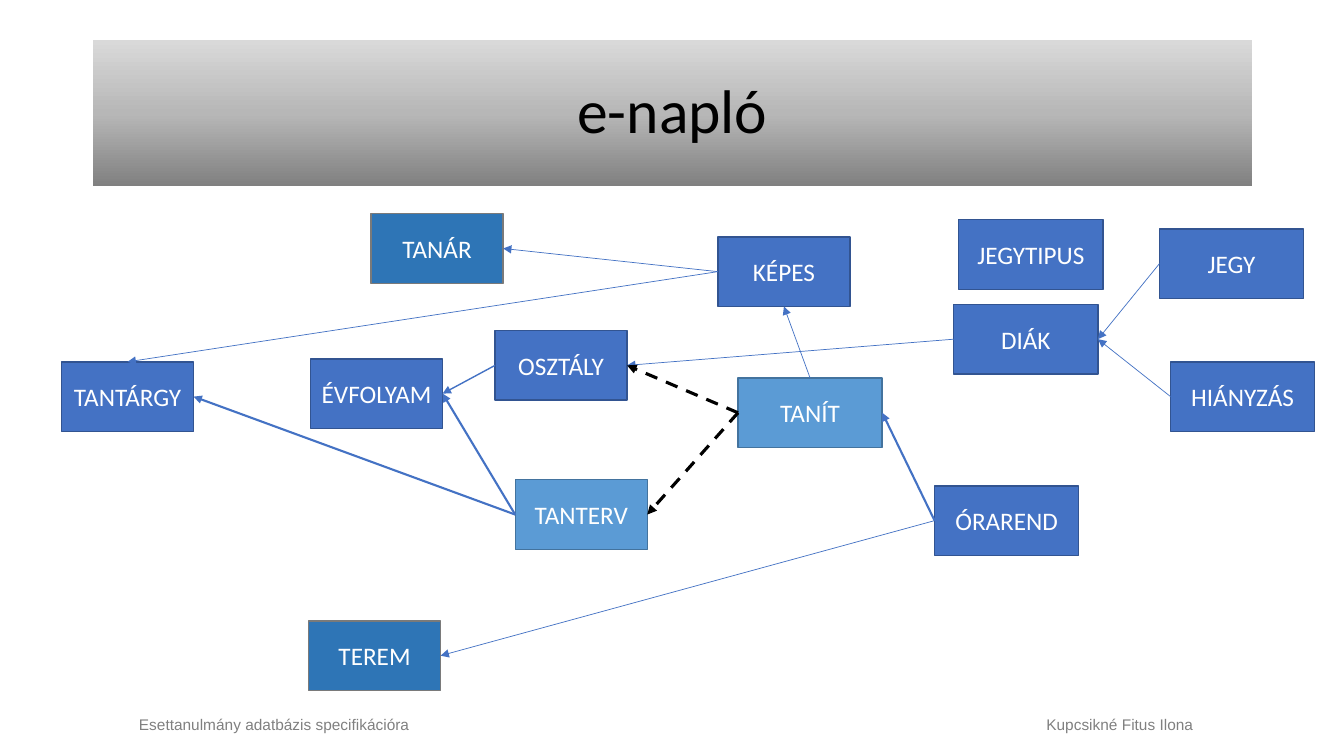
from copy import deepcopy

from lxml.etree import SubElement
from pptx import Presentation
from pptx.dml.color import RGBColor
from pptx.enum.dml import MSO_LINE
from pptx.enum.shapes import MSO_CONNECTOR, MSO_SHAPE
from pptx.enum.text import MSO_ANCHOR, PP_ALIGN
from pptx.oxml.ns import qn
from pptx.util import Inches, Pt

TOP, LEFT, BOTTOM, RIGHT = range(4)
NARROW, WIDE, BOX_HEIGHT = 1.31, 1.43, 0.69
BLUE = ("4472C4", "325491")
LIGHT = ("5B9BD5", "43739E")
DARK = ("2E75B6", "7A7A7A")

# name: left, top, width, (fill, outline)
ENTITIES = {
    "ÉVFOLYAM": (3.08, 3.56, NARROW, BLUE),
    "TANTERV": (5.11, 4.76, NARROW, LIGHT),
    "TANTÁRGY": (0.61, 3.59, NARROW, BLUE),
    "OSZTÁLY": (4.91, 3.28, NARROW, BLUE),
    "TANÍT": (7.32, 3.75, WIDE, LIGHT),
    "TANÁR": (3.68, 2.12, NARROW, DARK),
    "ÓRAREND": (9.27, 4.82, WIDE, BLUE),
    "TEREM": (3.06, 6.16, NARROW, DARK),
    "KÉPES": (7.12, 2.35, NARROW, BLUE),
    "JEGY": (11.5, 2.27, WIDE, BLUE),
    "DIÁK": (9.46, 3.02, WIDE, BLUE),
    "HIÁNYZÁS": (11.61, 3.59, WIDE, BLUE),
    "JEGYTIPUS": (9.51, 2.18, WIDE, BLUE),
}

# source, side, target, side, line width
RELATIONS = [
    ("TANTERV", LEFT, "TANTÁRGY", RIGHT, 1.5),
    ("TANTERV", LEFT, "ÉVFOLYAM", RIGHT, 1.5),
    ("ÓRAREND", LEFT, "TANÍT", RIGHT, 1.5),
    ("OSZTÁLY", LEFT, "ÉVFOLYAM", RIGHT, 1),
    ("ÓRAREND", LEFT, "TEREM", RIGHT, 0.5),
    ("KÉPES", LEFT, "TANÁR", RIGHT, 0.5),
    ("KÉPES", LEFT, "TANTÁRGY", TOP, 0.5),
    ("JEGY", LEFT, "DIÁK", RIGHT, 0.5),
    ("HIÁNYZÁS", LEFT, "DIÁK", RIGHT, 0.5),
    ("DIÁK", LEFT, "OSZTÁLY", RIGHT, 0.5),
    ("TANÍT", TOP, "KÉPES", BOTTOM, 0.5),
]
DASHED_RELATIONS = [
    ("TANÍT", LEFT, "TANTERV", RIGHT, 2.25),
    ("TANÍT", LEFT, "OSZTÁLY", RIGHT, 2.25),
]


def color(value):
    """Turn a hex string into a colour."""
    return RGBColor.from_string(value)


def write(shape, text, size=18, font="Calibri", ink="FFFFFF",
          align=PP_ALIGN.CENTER, anchor=MSO_ANCHOR.MIDDLE, spacing=None):
    """Put one formatted paragraph into a shape and return it."""
    frame = shape.text_frame
    frame.word_wrap = True
    frame.vertical_anchor = anchor
    para = frame.paragraphs[0]
    para.alignment = align
    para.line_spacing = spacing
    span = para.add_run()
    span.text = text
    span.font.size = Pt(size)
    span.font.name = font
    span.font.color.rgb = color(ink)
    return para


def place(shape, box):
    """Move a shape to a box of left, top, width and height in inches."""
    shape.left, shape.top, shape.width, shape.height = map(Inches, box)


def add_title(page, box, text):
    """Fill the title placeholder on a grey gradient band."""
    title = page.shapes.title
    place(title, box)
    fill = title.fill
    fill.gradient()
    fill.gradient_angle = 90
    stop_list = title.element.spPr.find(".//" + qn("a:gsLst"))
    stop_list.insert(1, deepcopy(stop_list[0]))
    bands = [(0, "808080"), (0.5, "B7B7B7"), (1, "D9D9D9")]
    for stop, (position, shade) in zip(fill.gradient_stops, bands):
        stop.position = position
        stop.color.rgb = color(shade)
    write(title, text, size=44, ink="000000", spacing=0.9)


def add_entity(page, box, name, colors):
    """Draw one named entity rectangle."""
    entity = page.shapes.add_shape(MSO_SHAPE.RECTANGLE, *map(Inches, box))
    entity.shadow.inherit = False
    entity.fill.solid()
    entity.fill.fore_color.rgb = color(colors[0])
    entity.line.color.rgb = color(colors[1])
    entity.line.width = Pt(1)
    entity.text_frame.margin_left = entity.text_frame.margin_right = Inches(0.05)
    write(entity, name)
    return entity


def add_relation(page, source, source_side, target, target_side, width,
                 ink="4472C4", dash=None):
    """Link two entities with an arrow pointing at the target."""
    arrow = page.shapes.add_connector(MSO_CONNECTOR.STRAIGHT, 0, 0, 0, 0)
    arrow.begin_connect(source, source_side)
    arrow.end_connect(target, target_side)
    arrow.line.color.rgb = color(ink)
    arrow.line.width = Pt(width)
    if dash:
        arrow.line.dash_style = dash
    properties = arrow.element.spPr
    SubElement(properties.find(qn("a:ln")), qn("a:tailEnd"), type="triangle")
    SubElement(properties, qn("a:effectLst"))


def add_diagram(page):
    """Draw all entities and the relations between them."""
    shapes = {
        name: add_entity(page, (left, top, width, BOX_HEIGHT), name, colors)
        for name, (left, top, width, colors) in ENTITIES.items()
    }
    styles = [(RELATIONS, {}),
              (DASHED_RELATIONS, {"ink": "000000", "dash": MSO_LINE.DASH})]
    for relations, style in styles:
        for source, source_side, target, target_side, width in relations:
            add_relation(page, shapes[source], source_side,
                         shapes[target], target_side, width, **style)


def add_footer(page, box, subject, author, author_offset):
    """Write the subject and, at a tab stop, the author."""
    footer = page.shapes.add_textbox(*map(Inches, box))
    para = write(footer, f"{subject}\t{author}", size=11, font="Arial",
                 ink="808080", align=PP_ALIGN.LEFT, anchor=MSO_ANCHOR.TOP)
    tabs = SubElement(para._p.get_or_add_pPr(), qn("a:tabLst"))
    SubElement(tabs, qn("a:tab"), pos=str(Inches(author_offset)), algn="l")


deck = Presentation()
deck.slide_width, deck.slide_height = Inches(13.33), Inches(7.5)
page = deck.slides.add_slide(deck.slide_layouts[5])
add_title(page, (0.92, 0.4, 11.5, 1.45), "e-napló")
add_diagram(page)
add_footer(page, (1.28, 7.05, 10.76, 0.29), "Esettanulmány adatbázis specifikációra",
           "Kupcsikné Fitus Ilona", 9)
deck.save("out.pptx")
